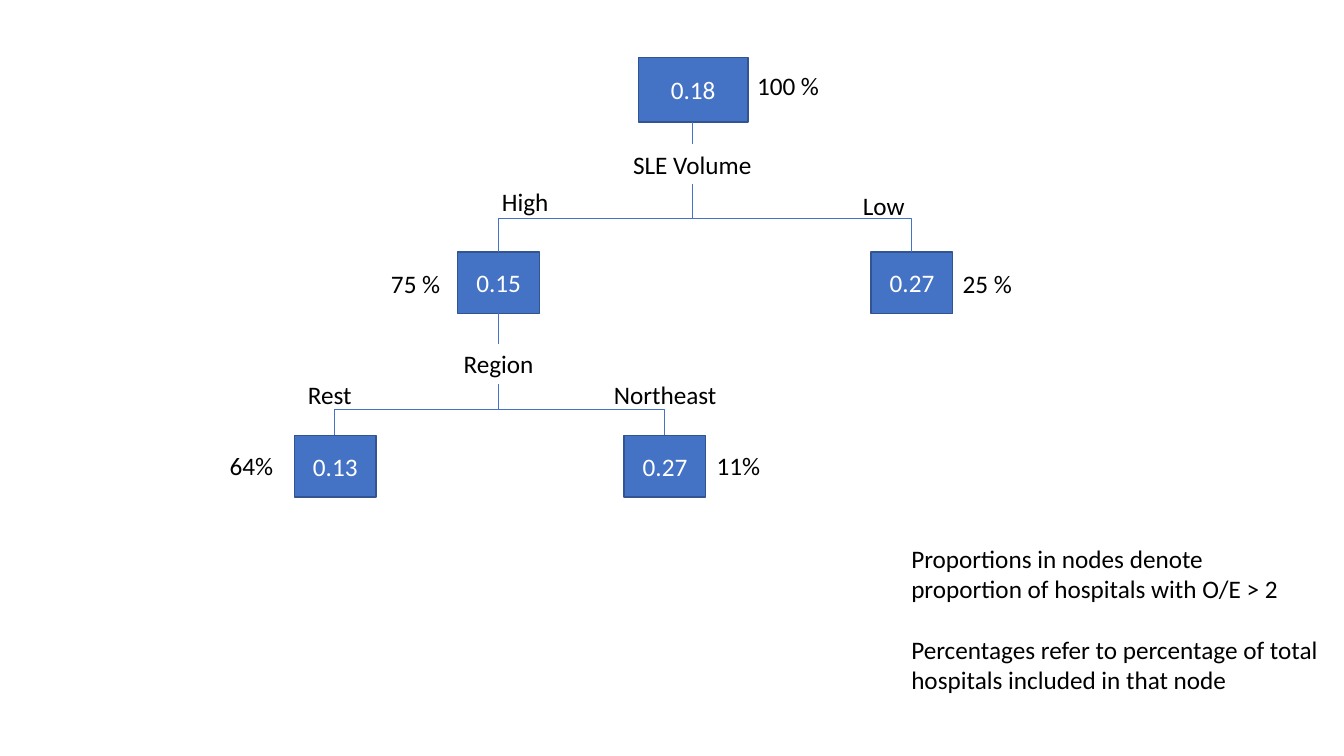
from dataclasses import dataclass

from lxml import etree
from pptx import Presentation
from pptx.dml.color import RGBColor
from pptx.enum.shapes import MSO_CONNECTOR, MSO_SHAPE
from pptx.enum.text import MSO_ANCHOR, MSO_AUTO_SIZE, PP_ALIGN
from pptx.oxml.ns import qn
from pptx.shapes.connector import Connector
from pptx.slide import Slide
from pptx.text.text import _Paragraph
from pptx.util import Emu, Pt

RECT = MSO_SHAPE.RECTANGLE
LINE, ELBOW = MSO_CONNECTOR.STRAIGHT, MSO_CONNECTOR.ELBOW
LEFT, CENTER = PP_ALIGN.LEFT, PP_ALIGN.CENTER
MIDDLE = MSO_ANCHOR.MIDDLE
GROW = MSO_AUTO_SIZE.SHAPE_TO_FIT_TEXT

SCALE = 9144
FONT, SIZE = "Calibri", 18
GAP = 22
COLORS = {"node": "4472C4", "edge": "325491", "white": "FFFFFF", "black": "000000"}


@dataclass
class Node:
    value: str
    left: int
    top: int
    width: int = 81
    height: int = 61

    @property
    def mid(self) -> int:
        return self.left + self.width // 2

    @property
    def base(self) -> int:
        return self.top + self.height


@dataclass
class Label:
    text: str
    left: int
    top: int
    width: int
    height: int = 40
    align: PP_ALIGN = LEFT

    @property
    def base(self) -> int:
        return self.top + self.height


@dataclass
class Split:
    label: Label
    parent: Node
    kids: tuple[Node, Node]


ROOT = Node("0.18", 633, 57, 109, 64)
HIGH = Node("0.15", 454, 250)
LOW = Node("0.27", 864, 250)
REST = Node("0.13", 292, 432)
EAST = Node("0.27", 619, 432)
NODES = [ROOT, HIGH, LOW, REST, EAST]

SPLITS = [
    Split(Label("SLE Volume", 618, 143, 139), ROOT, (HIGH, LOW)),
    Split(Label("Region", 450, 341, 90), HIGH, (REST, EAST)),
]

LABELS = [
    Label("High", 488, 180, 67),
    Label("Low", 846, 184, 62),
    Label("Rest", 295, 371, 64, align=CENTER),
    Label("Northeast", 599, 371, 123),
    Label("100 %", 741, 65, 82),
    Label("75 %", 378, 261, 70),
    Label("25 %", 945, 261, 70),
    Label("64%", 218, 442, 64),
    Label("11%", 701, 442, 64),
]

NOTE = Label("", 894, 534, 434, 162)
LINES = [
    "Proportions in nodes denote\nproportion of hospitals with O/E > 2",
    "Percentages refer to percentage of total\nhospitals included in that node",
]


def px(value: float) -> Emu:
    return Emu(round(value * SCALE))


def rgb(name: str) -> RGBColor:
    return RGBColor.from_string(COLORS[name])


def style(para: _Paragraph, text: str, color: str, align: PP_ALIGN) -> None:
    para.text = text
    para.alignment = align
    para.font.name = FONT
    para.font.size = Pt(SIZE)
    para.font.color.rgb = rgb(color)


def draw_node(slide: Slide, node: Node) -> None:
    box = slide.shapes.add_shape(
        RECT, px(node.left), px(node.top), px(node.width), px(node.height)
    )
    box.shadow.inherit = False
    box.fill.solid()
    box.fill.fore_color.rgb = rgb("node")
    box.line.color.rgb = rgb("edge")
    box.line.width = Pt(1)
    box.text_frame.vertical_anchor = MIDDLE
    style(box.text_frame.paragraphs[0], node.value, "white", CENTER)


def draw_text(slide: Slide, label: Label, lines: list[str]) -> None:
    box = slide.shapes.add_textbox(
        px(label.left), px(label.top), px(label.width), px(label.height)
    )
    frame = box.text_frame
    frame.word_wrap = False
    frame.auto_size = GROW
    for i, line in enumerate(lines):
        para = frame.add_paragraph() if i else frame.paragraphs[0]
        style(para, line, "black", label.align)
        if i:
            para.space_before = Pt(GAP)


def draw_line(
    slide: Slide, kind: MSO_CONNECTOR, x1: float, y1: float, x2: float, y2: float
) -> Connector:
    line = slide.shapes.add_connector(kind, px(x1), px(y1), px(x2), px(y2))
    line.line.color.rgb = rgb("node")
    line.line.width = Pt(0.5)
    etree.SubElement(line.element.spPr, qn("a:effectLst"))
    return line


def draw_bend(slide: Slide, x1: int, y1: int, x2: int, y2: int) -> None:
    mid_x, mid_y = (x1 + x2) / 2, (y1 + y2) / 2
    side = 1 if x2 < x1 else -1
    half_w, half_h = side * (y2 - y1) / 2, abs(x2 - x1) / 2
    bend = draw_line(
        slide, ELBOW, mid_x - half_w, mid_y - half_h, mid_x + half_w, mid_y + half_h
    )
    turn = 90 if side == 1 else 270
    bend.element.spPr.find(qn("a:xfrm")).set("rot", str(turn * 60000))


def draw_split(slide: Slide, split: Split) -> None:
    node, label = split.parent, split.label
    draw_line(slide, LINE, node.mid, node.base, node.mid, label.top)
    for kid in split.kids:
        draw_bend(slide, node.mid, label.base, kid.mid, kid.top)
    draw_text(slide, label, [label.text])


def main() -> None:
    deck = Presentation()
    deck.slide_width, deck.slide_height = px(1333), px(750)
    slide = deck.slides.add_slide(deck.slide_layouts[6])
    for node in NODES:
        draw_node(slide, node)
    for split in SPLITS:
        draw_split(slide, split)
    for label in LABELS:
        draw_text(slide, label, [label.text])
    draw_text(slide, NOTE, LINES)
    deck.save("out.pptx")


if __name__ == "__main__":
    main()
